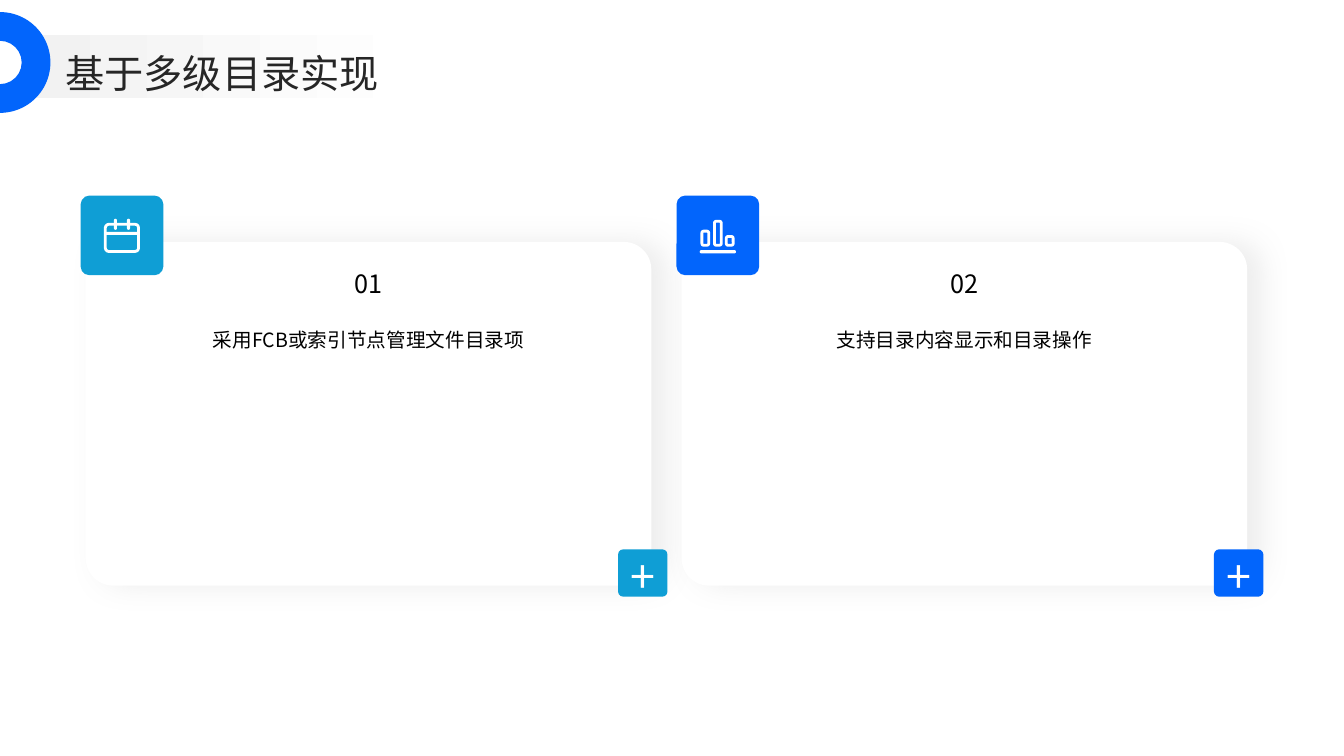
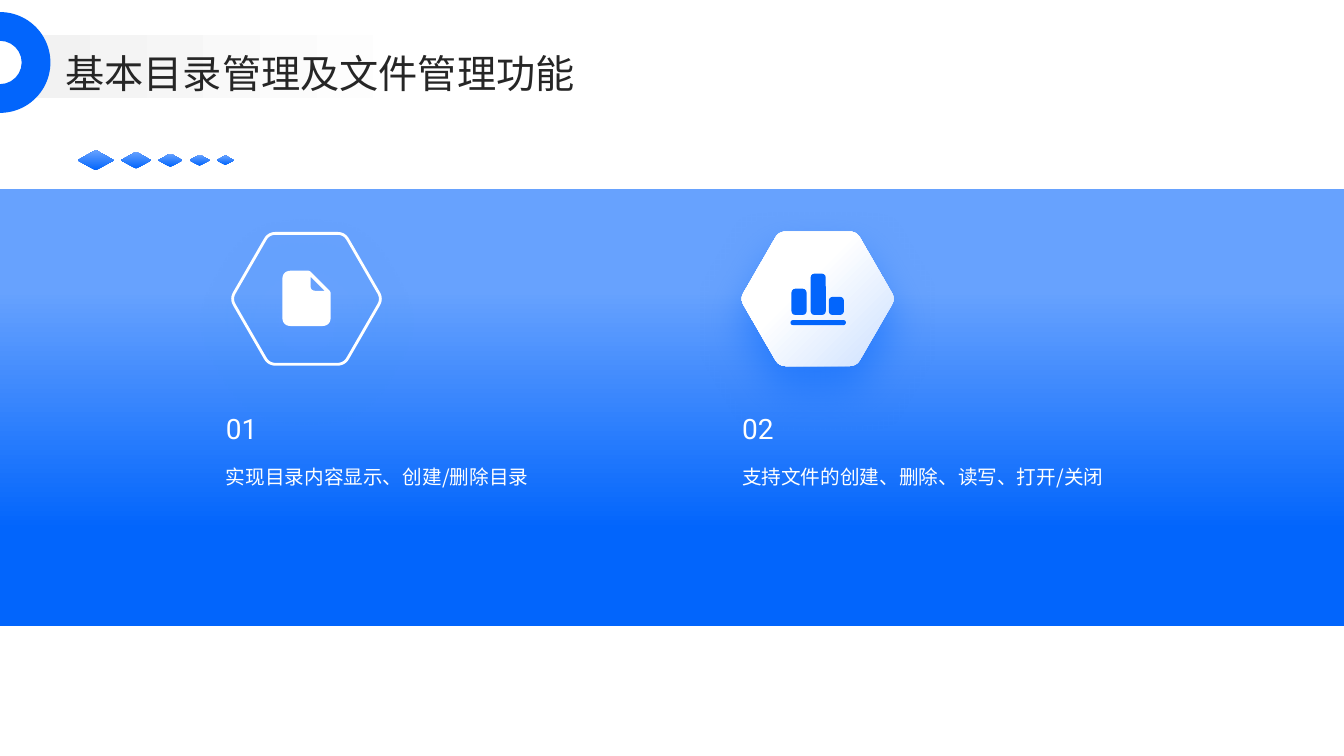
from lxml import etree
from pptx import Presentation
from pptx.dml.color import RGBColor
from pptx.enum import shapes, text
from pptx.oxml.ns import qn
from pptx.util import Inches, Pt

BLUE, SKY, CYAN = "0265FC", "67A2FE", "0F9ED5"
WHITE, BLACK, INK = "FFFFFF", "000000", "262626"
CJK, LATIN = "Noto Sans CJK SC", "Roboto"
SHAPE, ALIGN, ANCHOR = shapes.MSO_SHAPE, text.PP_ALIGN, text.MSO_ANCHOR

CARDS_TITLE = "基于多级目录实现"
CARDS = [
    ("01", "采用FCB或索引节点管理文件目录项", CYAN, "calendar"),
    ("02", "支持目录内容显示和目录操作", BLUE, "bars"),
]
FEATURES_TITLE = "基本目录管理及文件管理功能"
# number, description, text left, hexagon centre
FEATURES = [
    ("01", "实现目录内容显示、创建/删除目录", 2.24, 3.04),
    ("02", "支持文件的创建、删除、读写、打开/关闭", 7.36, 8.11),
]
DIAMOND_WIDTHS = [0.36, 0.3, 0.24, 0.2, 0.17]

# Bar icon on a 0.55 wide grid: left, top, height of each bar
ICON_BARS = [(0.01, 0.15, 0.26), (0.2, 0, 0.41), (0.38, 0.23, 0.18)]
STROKE = 0.03


# Formatting
def rgb(value):
    return RGBColor.from_string(value)


def paint(shape, fill=None, line=None, width=2):
    shape.shadow.inherit = False
    if fill:
        shape.fill.solid()
        shape.fill.fore_color.rgb = rgb(fill)
    else:
        shape.fill.background()
    if line:
        shape.line.color.rgb = rgb(line)
        shape.line.width = Pt(width)
    else:
        shape.line.fill.background()
    return shape


def gradient(shape, stops, angle=0, from_corner=False):
    shape.fill.gradient()
    shape.fill.gradient_angle = angle
    for stop, (position, colour) in zip(shape.fill.gradient_stops, stops):
        stop.position = position
        stop.color.rgb = rgb(colour)
    if from_corner:
        grad = shape._element.spPr.find(qn("a:gradFill"))
        grad.remove(grad.find(qn("a:lin")))
        circle = etree.SubElement(grad, qn("a:path"), path="circle")
        etree.SubElement(circle, qn("a:fillToRect"), r="100000", b="100000")


def cast_shadow(shape, colour, alpha, blur, distance, degrees):
    effects = shape._element.spPr.find(qn("a:effectLst"))
    outer = etree.SubElement(
        effects, qn("a:outerShdw"), blurRad=str(Pt(blur)), dist=str(Pt(distance)),
        dir=str(degrees * 60000), algn="ctr", rotWithShape="0")
    tint = etree.SubElement(outer, qn("a:srgbClr"), val=colour)
    etree.SubElement(tint, qn("a:alpha"), val=str(alpha * 1000))


def write(shape, words, size, colour, font=CJK, align=ALIGN.LEFT,
          anchor=ANCHOR.TOP, spacing=1.0, inset=True):
    frame = shape.text_frame
    frame.word_wrap = True
    frame.auto_size = text.MSO_AUTO_SIZE.NONE
    frame.vertical_anchor = anchor
    if not inset:
        frame.margin_left = frame.margin_right = 0
        frame.margin_top = frame.margin_bottom = 0
    frame.text = words
    line = frame.paragraphs[0]
    line.alignment = align
    line.line_spacing = spacing
    line.font.size = Pt(size)
    line.font.color.rgb = rgb(colour)
    line.font.name = font
    etree.SubElement(line.font._element, qn("a:ea"), typeface=font)


# Building blocks
def add(slide, kind, left, top, width, height, **look):
    shape = slide.shapes.add_shape(
        kind, Inches(left), Inches(top), Inches(width), Inches(height))
    return paint(shape, **look)


def rounded(slide, left, top, width, height, corner, **look):
    shape = add(slide, SHAPE.ROUNDED_RECTANGLE, left, top, width, height, **look)
    shape.adjustments[0] = corner
    return shape


def label(slide, left, top, width, height, words, size, colour, **style):
    box = slide.shapes.add_textbox(
        Inches(left), Inches(top), Inches(width), Inches(height))
    write(box, words, size, colour, inset=False, **style)


def soften(corners, steps=6):
    """Points of a polygon whose (x, y, cut) corners are rounded off."""
    points = []
    for i, (x, y, cut) in enumerate(corners):
        ends = []
        for nx, ny, _ in (corners[i - 1], corners[(i + 1) % len(corners)]):
            share = cut / ((nx - x) ** 2 + (ny - y) ** 2) ** 0.5
            ends.append((x + (nx - x) * share, y + (ny - y) * share))
        (ax, ay), (bx, by) = ends
        for t in [s / steps for s in range(steps + 1)] if cut else [0]:
            a, m, b = (1 - t) ** 2, 2 * t * (1 - t), t ** 2
            points.append((Inches(a * ax + m * x + b * bx),
                           Inches(a * ay + m * y + b * by)))
    return points


def outline(slide, *contours, **look):
    first, *others = [soften(contour) for contour in contours]
    builder = slide.shapes.build_freeform(*first[0])
    builder.add_line_segments(first[1:])
    for points in others:
        builder.move_to(*points[0])
        builder.add_line_segments(points[1:])
    return paint(builder.convert_to_shape(), **look)


def hexagon(slide, cx, cy, side, **look):
    rise = side * 0.75 ** 0.5
    corners = [(-0.5, -1), (0.5, -1), (1, 0), (0.5, 1), (-0.5, 1), (-1, 0)]
    return outline(
        slide, [(cx + x * side, cy + y * rise, 0.07) for x, y in corners], **look)


# Icons
def calendar_icon(slide, left, top, colour):
    half = STROKE / 2
    rounded(slide, left + half, top + 0.04 + half, 0.36 - STROKE, 0.3 - STROKE,
            0.13, line=colour)
    rounded(slide, left + half, top + 0.13, 0.36 - STROKE, STROKE, 0, fill=colour)
    for ring in (0.1, 0.23):
        rounded(slide, left + ring, top, STROKE, 0.11, 0.5, fill=colour)


def bars_icon(slide, left, top, width, colour, hollow=False):
    scale = width / 0.55
    trim = STROKE if hollow else 0
    look = {"line": colour} if hollow else {"fill": colour}
    for x, y, height in ICON_BARS:
        rounded(slide, left + x * scale + trim / 2, top + y * scale + trim / 2,
                0.15 * scale - trim, height * scale - trim, 0.25, **look)
    rounded(slide, left, top + 0.46 * scale, width, 0.05 * scale, 0.5, fill=colour)


def page_icon(slide, left, top, colour):
    sheet = [(0, 0, 0.09), (0.27, 0, 0.02), (0.48, 0.21, 0.02),
             (0.48, 0.55, 0.09), (0, 0.55, 0.09)]
    fold = [(0.28, 0.06, 0), (0.28, 0.2, 0.05), (0.42, 0.2, 0)]
    outline(slide, *[[(left + x, top + y, cut) for x, y, cut in part]
                     for part in (sheet, fold)], fill=colour)


# Shared heading
def add_heading(slide, words):
    band = add(slide, SHAPE.RECTANGLE, 0.33, 0.35, 4.92, 0.62)
    gradient(band, [(0, "F2F2F2"), (0.8, WHITE)])
    title = slide.shapes.title
    title.left, title.top = Inches(0.65), Inches(0.44)
    title.width, title.height = Inches(11.88), Inches(0.51)
    write(title, words, 28, INK, anchor=ANCHOR.MIDDLE, spacing=1.1, inset=False)
    slide.shapes._spTree.append(title._element)
    ring = add(slide, SHAPE.BLOCK_ARC, -0.5, 0.12, 1, 1, fill=BLUE)
    for i, value in enumerate((108, 0, 0.285)):
        ring.adjustments[i] = value
    ring.rotation = 90


# Slides
def cards_slide(slide):
    for i, (number, words, colour, icon) in enumerate(CARDS):
        left = 0.85 + i * 5.91
        card = rounded(slide, left, 2.4, 5.61, 3.41, 0.08, fill=WHITE)
        cast_shadow(card, "A6A6A6", 20, 20, 10, 0)
        rounded(slide, left - 0.05, 1.94, 0.82, 0.79, 0.11, fill=colour)
        label(slide, left + 0.25, 3.16, 5.11, 1.97, words, 14, BLACK,
              align=ALIGN.CENTER, spacing=1.4)
        label(slide, left + 0.25, 2.53, 5.11, 0.54, number, 18, BLACK,
              align=ALIGN.CENTER, anchor=ANCHOR.MIDDLE, spacing=1.1)
        plus = rounded(slide, left + 5.28, 5.45, 0.49, 0.47, 0.11, fill=colour)
        write(plus, "+", 32, WHITE, align=ALIGN.CENTER, anchor=ANCHOR.MIDDLE,
              spacing=1.1)
        if icon == "calendar":
            calendar_icon(slide, left + 0.18, 2.17, WHITE)
        else:
            bars_icon(slide, left + 0.18, 2.18, 0.36, WHITE, hollow=True)
    add_heading(slide, CARDS_TITLE)


def features_slide(slide):
    panel = add(slide, SHAPE.RECTANGLE, 0, 1.88, 13.33, 4.33)
    gradient(panel, [(0.22, BLUE), (0.77, SKY)], angle=90)

    # Hexagon badges
    (*_, first), (*_, second) = FEATURES
    middle = 2.965
    ring = hexagon(slide, first, middle, 0.75, line=WHITE)
    cast_shadow(ring, CYAN, 20, 30, 16, 90)
    page_icon(slide, first - 0.24, middle - 0.28, WHITE)
    badge = hexagon(slide, second, middle, 0.77)
    gradient(badge, [(0.39, WHITE), (1, "CCE0FF")], from_corner=True)
    cast_shadow(badge, BLUE, 50, 30, 16, 90)
    bars_icon(slide, second - 0.27, middle - 0.25, 0.55, BLUE)

    for number, words, left, _ in FEATURES:
        label(slide, left, 3.75, 3.54, 0.67, number, 20, WHITE, font=LATIN,
              anchor=ANCHOR.BOTTOM)
        label(slide, left, 4.5, 4.5, 1.36, words, 14, WHITE, spacing=1.5)

    # Shrinking row of diamonds
    left = 0.77
    for width in DIAMOND_WIDTHS:
        height = width * 0.56
        diamond = add(slide, SHAPE.DIAMOND, left, 1.59 - height / 2, width, height)
        gradient(diamond, [(0, BLUE), (1, SKY)], angle=90)
        left += width + 0.07
    add_heading(slide, FEATURES_TITLE)


def main():
    deck = Presentation()
    deck.slide_width, deck.slide_height = Inches(13.33), Inches(7.5)
    for fill_slide in (cards_slide, features_slide):
        fill_slide(deck.slides.add_slide(deck.slide_layouts[5]))
    deck.save("out.pptx")


if __name__ == "__main__":
    main()
